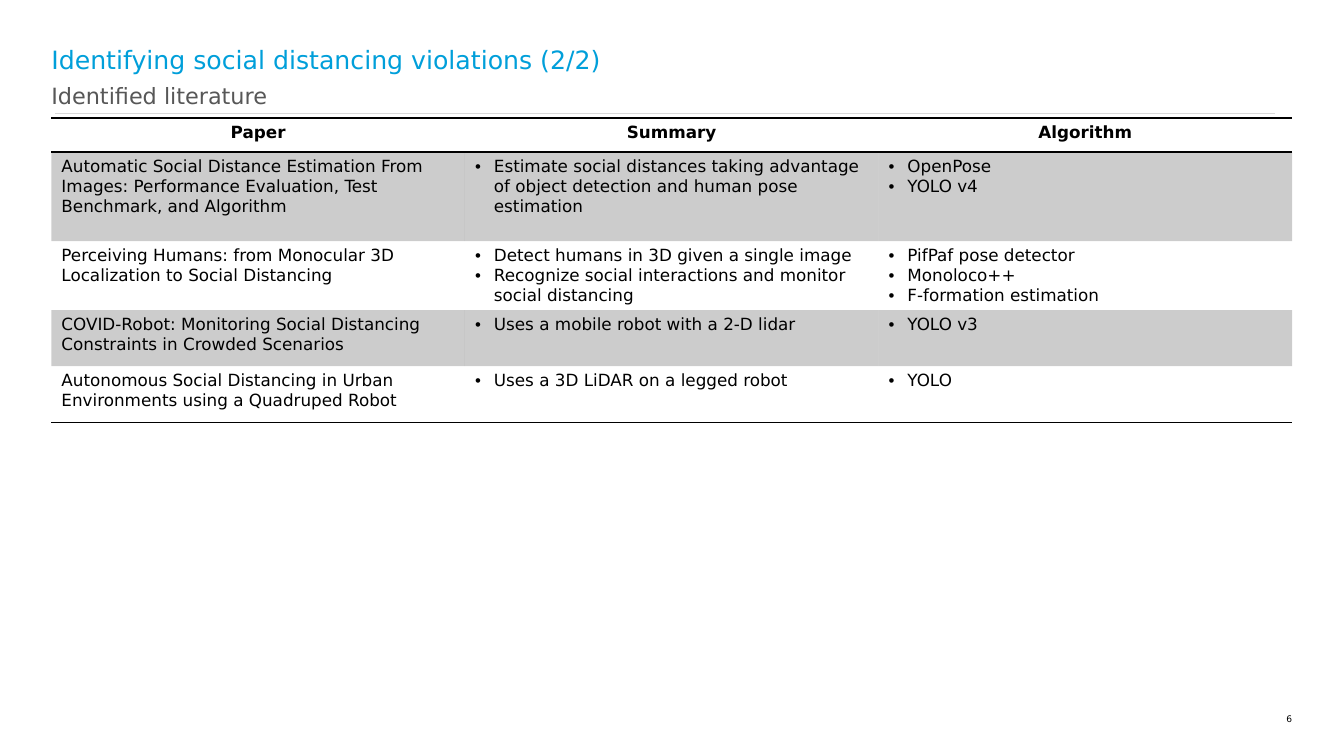
"""Build the slide that lists literature on social distancing violations."""
from dataclasses import dataclass

from lxml import etree
from pptx import Presentation
from pptx.dml.color import RGBColor
from pptx.enum.text import MSO_ANCHOR, MSO_AUTO_SIZE, PP_ALIGN
from pptx.oxml.ns import qn
from pptx.util import Pt

LEFT, CENTER, RIGHT = PP_ALIGN.LEFT, PP_ALIGN.CENTER, PP_ALIGN.RIGHT
TOP = MSO_ANCHOR.TOP
NO_AUTOFIT = MSO_AUTO_SIZE.NONE
TITLE_ONLY_LAYOUT = 5
NO_TABLE_STYLE = "{2D5ABB26-0587-4C30-8999-92F81FD0307C}"
CONTENT_LEFT, CONTENT_WIDTH = 36.72, 886.2


@dataclass(frozen=True)
class Theme:
    font: str = "DejaVu Sans"
    title: str = "009FDA"
    subtitle: str = "575757"
    text: str = "000000"
    divider: str = "D9D9D9"
    title_size: float = 18
    subtitle_size: float = 16
    table_size: float = 12
    number_size: float = 6.5
    border_width: float = 1
    divider_width: float = 0.75
    band_opacity: int = 20


@dataclass(frozen=True)
class TextLine:
    text: str
    left: float
    top: float
    width: float
    height: float
    size: float
    color: str
    alignment: PP_ALIGN = LEFT


@dataclass(frozen=True)
class Paper:
    name: str
    summary: tuple[str, ...]
    algorithms: tuple[str, ...]
    height: float


THEME = Theme()
TITLE = TextLine("Identifying social distancing violations (2/2)", CONTENT_LEFT, 31.7,
                 CONTENT_WIDTH, 26.6, THEME.title_size, THEME.title)
TEXT_BOXES = (
    TextLine("Identified literature", CONTENT_LEFT, 58.3, CONTENT_WIDTH, 23,
             THEME.subtitle_size, THEME.subtitle),
    TextLine("6", 898.5, 509.8, 24.5, 8, THEME.number_size, THEME.text, RIGHT),
)
HEADERS = ("Paper", "Summary", "Algorithm")
HEADER_HEIGHT = 24.3
PAPERS = (
    Paper("Automatic Social Distance Estimation From Images: Performance Evaluation, "
          "Test Benchmark, and Algorithm",
          ("Estimate social distances taking advantage of object detection and "
           "human pose estimation",),
          ("OpenPose", "YOLO v4"), 63.6),
    Paper("Perceiving Humans: from Monocular 3D Localization to Social Distancing",
          ("Detect humans in 3D given a single image",
           "Recognize social interactions and monitor social distancing"),
          ("PifPaf pose detector", "Monoloco++", "F-formation estimation"), 49.3),
    Paper("COVID-Robot: Monitoring Social Distancing Constraints in Crowded Scenarios",
          ("Uses a mobile robot with a 2-D lidar",), ("YOLO v3",), 40),
    Paper("Autonomous Social Distancing in Urban Environments using a Quadruped Robot",
          ("Uses a 3D LiDAR on a legged robot",), ("YOLO",), 40),
)


def style_paragraph(paragraph, size: float, color: str, alignment: PP_ALIGN = LEFT,
                    bold: bool = False) -> None:
    paragraph.alignment = alignment
    font = paragraph.font
    font.name, font.size, font.bold = THEME.font, Pt(size), bold
    font.color.rgb = RGBColor.from_string(color)


def set_text_line(shape, line: TextLine) -> None:
    shape.left, shape.top = Pt(line.left), Pt(line.top)
    shape.width, shape.height = Pt(line.width), Pt(line.height)
    frame = shape.text_frame
    frame.margin_left = frame.margin_right = frame.margin_top = frame.margin_bottom = 0
    frame.word_wrap, frame.auto_size, frame.vertical_anchor = True, NO_AUTOFIT, TOP
    frame.text = line.text
    style_paragraph(frame.paragraphs[0], line.size, line.color, line.alignment)


def add_divider(slide) -> None:
    connector = slide.shapes.add_connector(1, Pt(39.6), Pt(80.9), Pt(910.8), Pt(80.9))
    connector.line.color.rgb = RGBColor.from_string(THEME.divider)
    connector.line.width = Pt(THEME.divider_width)
    etree.SubElement(connector.element.spPr, qn("a:effectLst"))


def add_bullet(paragraph) -> None:
    properties = paragraph._p.get_or_add_pPr()
    properties.set("marL", str(Pt(13.5)))
    properties.set("indent", str(Pt(-13.5)))
    etree.SubElement(properties, qn("a:buFont"), typeface="Arial")
    etree.SubElement(properties, qn("a:buChar"), char="•")


def add_border(cell, side: str) -> None:
    properties = cell._tc.get_or_add_tcPr()
    line = etree.SubElement(properties, qn(f"a:ln{side}"), w=str(Pt(THEME.border_width)))
    fill = etree.SubElement(line, qn("a:solidFill"))
    etree.SubElement(fill, qn("a:srgbClr"), val=THEME.text)


def shade_cell(cell) -> None:
    cell.fill.solid()
    cell.fill.fore_color.rgb = RGBColor.from_string(THEME.text)
    color = next(cell._tc.tcPr.iter(qn("a:srgbClr")))
    etree.SubElement(color, qn("a:alpha"), val=str(THEME.band_opacity * 1000))


def fill_cell(cell, lines: tuple[str, ...], header: bool = False, bulleted: bool = False) -> None:
    cell.text = "\n".join(lines)
    for paragraph in cell.text_frame.paragraphs:
        style_paragraph(paragraph, THEME.table_size, THEME.text,
                        CENTER if header else LEFT, header)
        if bulleted:
            add_bullet(paragraph)


def add_literature_table(slide) -> None:
    rows = [tuple((header,) for header in HEADERS)]
    rows += [((paper.name,), paper.summary, paper.algorithms) for paper in PAPERS]
    heights = [HEADER_HEIGHT] + [paper.height for paper in PAPERS]
    graphic_frame = slide.shapes.add_table(len(rows), len(HEADERS), Pt(CONTENT_LEFT), Pt(84.3),
                                           Pt(CONTENT_WIDTH), Pt(sum(heights)))
    next(graphic_frame.element.iter(qn("a:tableStyleId"))).text = NO_TABLE_STYLE
    table = graphic_frame.table
    table.horz_banding = False
    for row_index, (row, height) in enumerate(zip(rows, heights)):
        table.rows[row_index].height = Pt(height)
        header = row_index == 0
        for column_index, lines in enumerate(row):
            cell = table.cell(row_index, column_index)
            fill_cell(cell, lines, header, bulleted=not header and column_index > 0)
            if header:
                add_border(cell, "T")
            if header or row_index == len(PAPERS):
                add_border(cell, "B")
            if row_index % 2:
                shade_cell(cell)
            else:
                cell.fill.background()


def main() -> None:
    presentation = Presentation()
    presentation.slide_width, presentation.slide_height = Pt(960), Pt(540)
    slide = presentation.slides.add_slide(presentation.slide_layouts[TITLE_ONLY_LAYOUT])
    set_text_line(slide.shapes.title, TITLE)
    add_divider(slide)
    for line in TEXT_BOXES:
        set_text_line(slide.shapes.add_textbox(0, 0, 0, 0), line)
    add_literature_table(slide)
    presentation.save("out.pptx")


if __name__ == "__main__":
    main()
